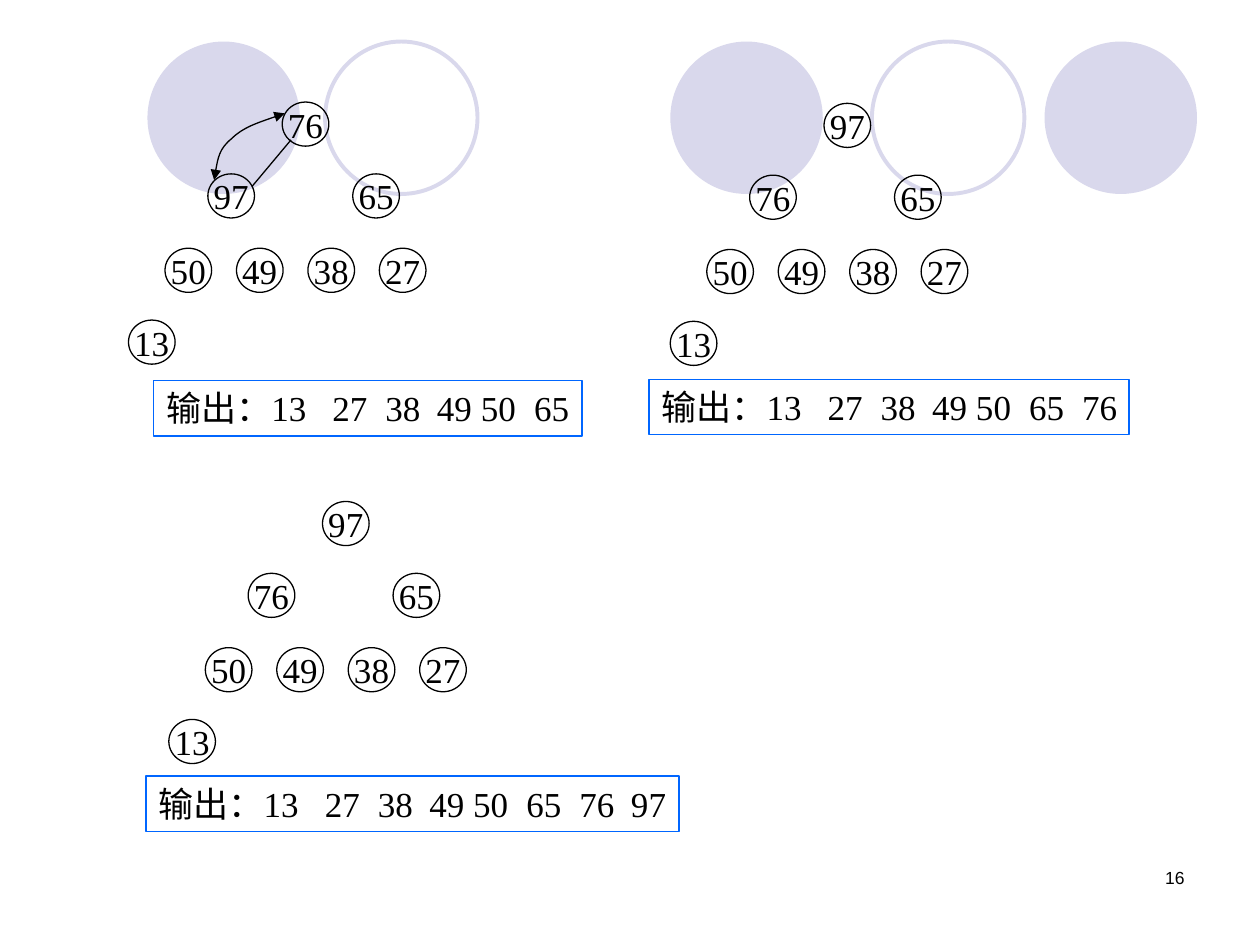
"""Build the slide with the last three heap-sort steps and their output lists."""
from lxml.etree import SubElement
from pptx import Presentation
from pptx.dml.color import RGBColor
from pptx.enum.shapes import MSO_CONNECTOR as CONNECTOR, MSO_SHAPE as SHAPE
from pptx.enum.text import MSO_ANCHOR as ANCHOR, PP_ALIGN as ALIGN
from pptx.oxml.ns import qn
from pptx.util import Inches, Pt

THEME = {
    "ink": RGBColor(0, 0, 0), "disc": RGBColor(0xD9, 0xD8, 0xEC),
    "frame": RGBColor(0, 0x66, 0xFF),
    "serif": "Times New Roman", "sans": "Arial",
    "text": 20, "number": 10, "thin": 0.75, "ring": 2.25,
}
DISC_SIZE, DISC_TOP = 1.21, 0.33
SOLID_DISCS = [5.32, 8.29, 1.17]
RING_DISCS = [6.92, 2.58]

NODE_SIZE = (0.37, 0.35)
NODE_OFFSETS = [(0, 0), (-0.59, 0.57), (0.56, 0.57)]
NODE_OFFSETS += [(-0.93 + 0.567 * i, 1.16) for i in range(4)]
NODE_OFFSETS += [(-1.22, 1.73)]
STEPS = [
    {"root": (2.24, 0.81), "heap": [76, 97, 65, 50, 49, 38, 27, 13],
     "box": (1.22, 3.02, 3.4, 0.44), "output": "输出：13\t27\t38\t49 50\t65"},
    {"root": (6.54, 0.82), "heap": [97, 76, 65, 50, 49, 38, 27, 13],
     "box": (5.15, 3.01, 3.81, 0.44), "output": "输出：13\t27\t38\t49 50\t65\t76"},
    {"root": (2.56, 3.98), "heap": [97, 76, 65, 50, 49, 38, 27, 13],
     "box": (1.16, 6.16, 4.23, 0.44), "output": "输出：13\t27\t38\t49 50\t65\t76\t97"},
]
OUTPUT_TABS = [1.32, 1.74, 2.15, 2.92, 3.34, 3.75]
EDGE = [(2.31, 1.11), (2, 1.48)]
SWAP_CURVE = [(2.26, 0.9), (2.09, 0.96), (1.93, 1.01), (1.84, 1.1),
              (1.74, 1.18), (1.72, 1.3), (1.7, 1.43)]


def inches(values):
    return [Inches(v) for v in values]


def add_outline(slide, kind, at, color, width):
    sp = slide.shapes.add_shape(kind, *inches(at))
    sp.shadow.inherit = False
    sp.fill.background()
    sp.line.color.rgb = color
    sp.line.width = Pt(width)
    return sp


def write(sp, text, size, font, align, tabs=()):
    p = sp.text_frame.paragraphs[0]
    p.text = text
    p.alignment = align
    if tabs:
        stops = SubElement(p._p.get_or_add_pPr(), qn("a:tabLst"))
        for stop in tabs:
            SubElement(stops, qn("a:tab"), pos=str(Inches(stop)), algn="l")
    p.font.size = Pt(size)
    p.font.name = font
    p.font.color.rgb = THEME["ink"]


def add_discs(slide):
    for left in SOLID_DISCS + RING_DISCS:
        at = (left, DISC_TOP, DISC_SIZE, DISC_SIZE)
        sp = add_outline(slide, SHAPE.OVAL, at, THEME["disc"], THEME["ring"])
        if left in SOLID_DISCS:
            sp.fill.solid()
            sp.fill.fore_color.rgb = THEME["disc"]
            sp.line.fill.background()


def add_step(slide, step):
    x, y = step["root"]
    for value, (dx, dy) in zip(step["heap"], NODE_OFFSETS):
        node = add_outline(slide, SHAPE.OVAL, (x + dx, y + dy, *NODE_SIZE),
                           THEME["ink"], THEME["thin"])
        node.text_frame.word_wrap = False
        node.text_frame.vertical_anchor = ANCHOR.MIDDLE
        write(node, str(value), THEME["text"], THEME["serif"], ALIGN.CENTER)
    box = add_outline(slide, SHAPE.RECTANGLE, step["box"], THEME["frame"], THEME["thin"])
    tf = box.text_frame
    tf.word_wrap = True
    tf.margin_right = 0
    tf.vertical_anchor = ANCHOR.TOP
    write(box, step["output"], THEME["text"], THEME["serif"], ALIGN.LEFT, OUTPUT_TABS)


def add_edge(slide):
    start, end = EDGE
    edge = slide.shapes.add_connector(CONNECTOR.STRAIGHT, *inches(start + end))
    edge.line.color.rgb = THEME["ink"]
    edge.line.width = Pt(THEME["thin"])
    SubElement(edge._element.spPr, qn("a:effectLst"))


def add_swap_curve(slide):
    points = [inches(point) for point in SWAP_CURVE]
    builder = slide.shapes.build_freeform(*points[0])
    builder.add_line_segments(points[1:], close=False)
    sp = builder.convert_to_shape()
    sp.shadow.inherit = False
    sp.fill.background()
    sp.line.color.rgb = THEME["ink"]
    sp.line.width = Pt(THEME["thin"])
    outline = sp._element.spPr.find(".//" + qn("a:path"))
    segments = outline.findall(qn("a:lnTo"))
    for i in range(0, len(segments), 3):
        curve = SubElement(outline, qn("a:cubicBezTo"))
        for segment in segments[i:i + 3]:
            curve.append(segment[0])
            outline.remove(segment)
    for end in ("a:headEnd", "a:tailEnd"):
        SubElement(sp.line._get_or_add_ln(), qn(end), type="triangle")


def main():
    prs = Presentation()
    prs.slide_width, prs.slide_height = Inches(10), Inches(7.5)
    slide = prs.slides.add_slide(prs.slide_layouts[6])
    add_discs(slide)
    for step in STEPS:
        add_step(slide, step)
    add_edge(slide)
    add_swap_curve(slide)
    number = slide.shapes.add_textbox(*inches((7.17, 6.83, 2.33, 0.5)))
    number.text_frame.word_wrap = True
    write(number, "16", THEME["number"], THEME["sans"], ALIGN.RIGHT)
    prs.save("out.pptx")


if __name__ == "__main__":
    main()
